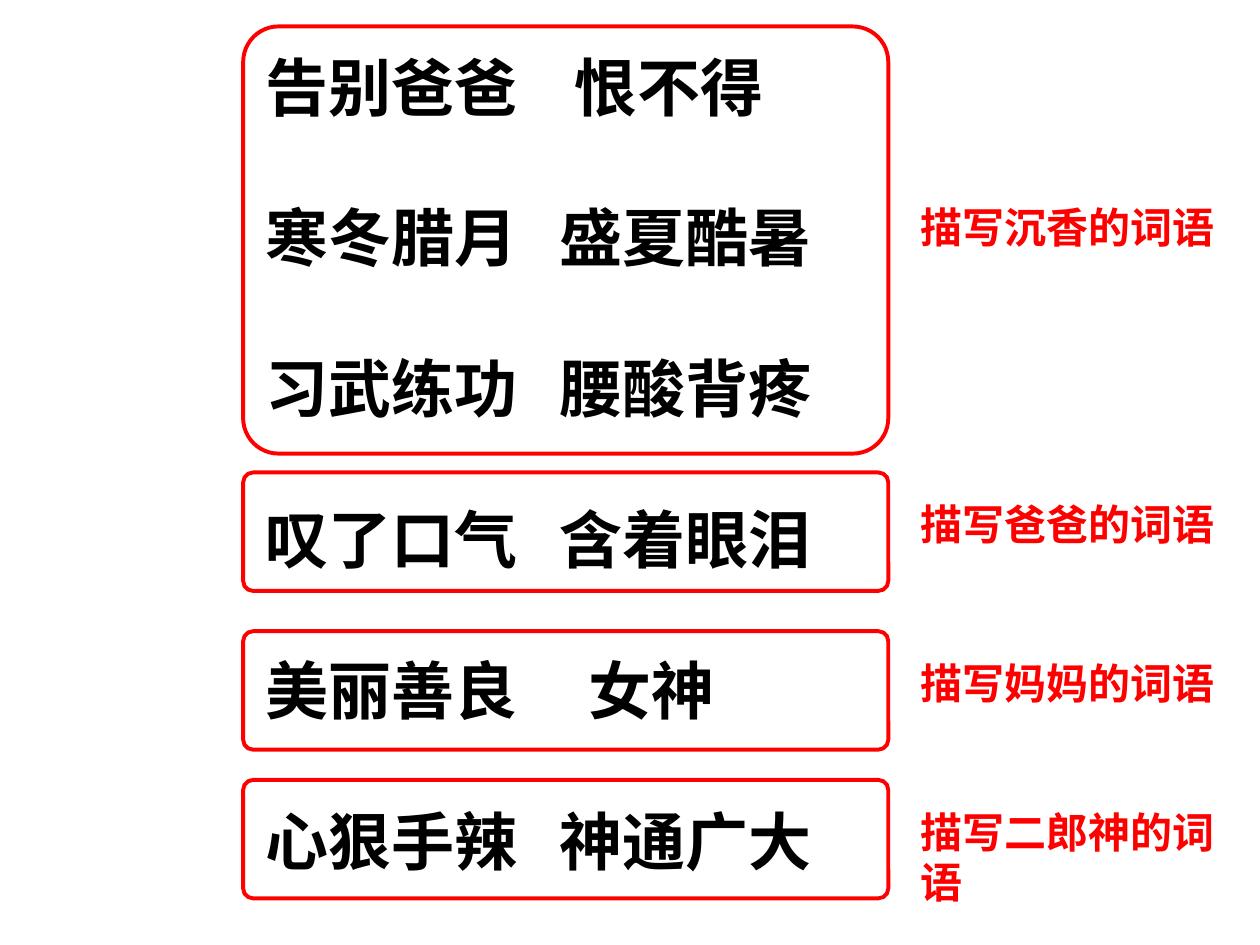
from dataclasses import dataclass
from lxml.etree import SubElement
from pptx import Presentation
from pptx.dml.color import RGBColor
from pptx.enum.shapes import MSO_SHAPE
from pptx.oxml.ns import qn
from pptx.util import Inches, Pt


@dataclass(frozen=True)
class Theme:
    ink = RGBColor(0, 0, 0)
    red = RGBColor(255, 0, 0)
    big = Pt(36)
    small = Pt(24)
    font = "Noto Sans CJK SC"
    accent = "Arial"
    line = Pt(2.25)
    height = Pt(47)
    gap = Pt(39.2)


theme = Theme()

WORDS = [
    ("告别爸爸", "恨不得", 2.45),
    ("寒冬腊月", "盛夏酷暑", 2.33),
    ("习武练功", "腰酸背疼", 2.33),
    ("叹了口气", "含着眼泪", 2.33),
    ("美丽善良", "女神", 2.56),
    ("心狠手辣", "神通广大", 2.33),
]

GROUPS = [
    ("描写沉香的词语", 0.21, 3.39, 1.34, 2.53),
    ("描写爸爸的词语", 3.75, 0.94, 0.16, 2.53),
    ("描写妈妈的词语", 5.01, 0.94, 0.16, 2.53),
    ("描写二郎神的词语", 6.19, 0.94, 0.16, 2.86),
]


def style(para, size, color, name):
    font = para.font
    font.size = size
    font.bold = True
    font.color.rgb = color
    font.name = name
    props = para._p.pPr.find(qn("a:defRPr"))
    SubElement(props, qn("a:ea"), typeface=theme.font)


def set_tab(para, stop):
    tabs = SubElement(para._p.get_or_add_pPr(), qn("a:tabLst"))
    SubElement(tabs, qn("a:tab"), pos=str(Inches(stop)), algn="l")


def add_words(slide, left, top, width, height):
    box = slide.shapes.add_textbox(
        Inches(left), Inches(top), Inches(width), Inches(height))
    frame = box.text_frame
    frame.word_wrap = True
    for row, (first, second, stop) in enumerate(WORDS):
        para = frame.add_paragraph() if row else frame.paragraphs[0]
        para.text = f"{first}\t{second}"
        set_tab(para, stop)
        para.line_spacing = theme.height
        if row:
            para.space_before = theme.gap
        style(para, theme.big, theme.ink, theme.font)


def add_group(slide, left, top, width, height, text, drop, span):
    ring = slide.shapes.add_shape(
        MSO_SHAPE.ROUNDED_RECTANGLE,
        Inches(left), Inches(top), Inches(width), Inches(height))
    ring.adjustments[0] = 0.083
    ring.shadow.inherit = False
    ring.fill.background()
    ring.line.color.rgb = theme.red
    ring.line.width = theme.line
    label = slide.shapes.add_textbox(
        Inches(left + width + 0.16), Inches(top + drop),
        Inches(span), Inches(0.5))
    label.text_frame.word_wrap = False
    para = label.text_frame.paragraphs[0]
    para.text = text
    style(para, theme.small, theme.red, theme.accent)


def main():
    deck = Presentation()
    deck.slide_width = Inches(10)
    deck.slide_height = Inches(7.5)
    slide = deck.slides.add_slide(deck.slide_layouts[6])
    add_words(slide, 2.01, 0.28, 7.01, 6.7)
    for text, top, height, drop, span in GROUPS:
        add_group(slide, 1.93, top, 5.12, height, text, drop, span)
    deck.save("out.pptx")


if __name__ == "__main__":
    main()
